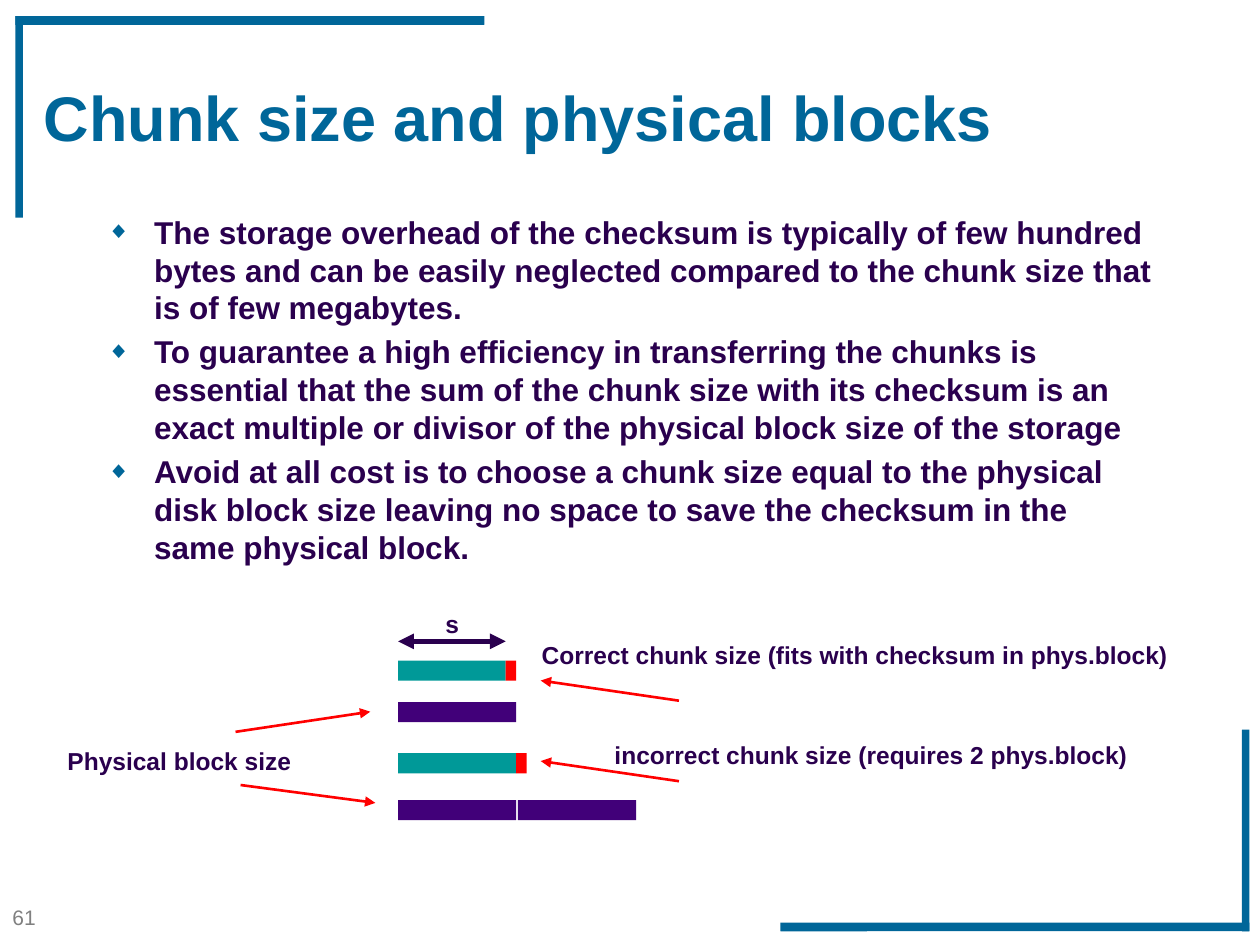
import pptx
import pptx.util
import pptx.dml.color
import pptx.enum.shapes
import pptx.enum.text
import pptx.oxml
import pptx.oxml.ns

Pt = pptx.util.Pt
SHAPE = pptx.enum.shapes.MSO_SHAPE
ALIGN = pptx.enum.text.PP_ALIGN
ANCHOR = pptx.enum.text.MSO_ANCHOR
BLUE, INK, TEAL, RED, PURPLE = "006699", "2A004E", "009998", "FF0000", "410079"
POINTS = [
    "The storage overhead of the checksum is typically of few hundred bytes and can be "
    "easily neglected compared to the chunk size that is of few megabytes.",
    "To guarantee a high efficiency in transferring the chunks is essential that the sum of "
    "the chunk size with its checksum is an exact multiple or divisor of the physical block "
    "size of the storage",
    "Avoid at all cost is to choose a chunk size equal to the physical disk block size "
    "leaving no space to save the checksum in the same physical block.",
]


def rgb(code):
    """Return the colour for a hex string."""
    return pptx.dml.color.RGBColor.from_string(code)


def add_xml(parent, tag, **attrs):
    """Append an empty drawing element with attributes."""
    node = pptx.oxml.parse_xml(f'<a:{tag} {pptx.oxml.ns.nsdecls("a")}/>')
    for key, value in attrs.items():
        node.set(key, value)
    parent.append(node)
    return node


def add_bullet(para):
    """Give a paragraph a hanging diamond bullet."""
    props = para._p.get_or_add_pPr()
    props.set("marL", str(Pt(27)))
    props.set("indent", str(-Pt(27)))
    add_xml(add_xml(props, "buClr"), "srgbClr", val=BLUE)
    add_xml(props, "buSzPct", val="75000")
    add_xml(props, "buFont", typeface="Arial")
    add_xml(props, "buChar", char="◆")


def add_text(slide, box, text, size=14, color=INK, bold=True, align=ALIGN.LEFT,
             anchor=ANCHOR.TOP, wrap=False, bullet=False, gap=0):
    """Add a text box with one paragraph per line of text."""
    frame = slide.shapes.add_textbox(*map(Pt, box)).text_frame
    frame.word_wrap = wrap
    frame.vertical_anchor = anchor
    for i, line in enumerate(text.split("\n")):
        para = frame.add_paragraph() if i else frame.paragraphs[0]
        para.alignment = align
        if i and gap:
            para.space_before = Pt(gap)
        if bullet:
            add_bullet(para)
        run = para.add_run()
        run.text = line
        font = run.font
        font.name, font.size, font.bold = "Arial", Pt(size), bold
        font.color.rgb = rgb(color)


def add_bar(slide, box, color, kind=SHAPE.RECTANGLE):
    """Add a filled bar without outline."""
    bar = slide.shapes.add_shape(kind, *map(Pt, box))
    bar.shadow.inherit = False
    bar.fill.solid()
    bar.fill.fore_color.rgb = rgb(color)
    bar.line.fill.background()
    return bar


def add_arrow(slide, start, end, color=RED, width=1.5, double=False):
    """Add a straight arrow with one or two heads."""
    kind = pptx.enum.shapes.MSO_CONNECTOR.STRAIGHT
    arrow = slide.shapes.add_connector(kind, *map(Pt, (*start, *end)))
    arrow.line.color.rgb = rgb(color)
    arrow.line.width = Pt(width)
    line = arrow.line._get_or_add_ln()
    if double:
        add_xml(line, "headEnd", type="triangle")
    add_xml(line, "tailEnd", type="triangle")
    add_xml(arrow._element.spPr, "effectLst")


def add_corner(slide, box, last=False):
    """Draw two bars meeting at the first or last corner of the box."""
    left, top, width, height = box
    thick, thin = 5, 4.3
    side = left + width - thin if last else left
    edge = top + height - thick if last else top
    for part in ((side, top, thin, height), (left, edge, width, thick)):
        bar = add_bar(slide, part, BLUE, SHAPE.ROUNDED_RECTANGLE)
        bar.adjustments[0] = 0.03


def add_blocks(slide, left, top):
    """Draw the chunks, the physical blocks and their labels."""
    def at(x, y):
        return left + x, top + y

    start, block, check, high = 196.5, 67.5, 6, 11.5
    chunk = block - check
    bars = [
        (0, 33.3, chunk, TEAL), (chunk, 33.3, check, RED),
        (0, 57, block, PURPLE),
        (0, 86.2, block, TEAL), (block, 86.2, check, RED),
        (0, 113, block, PURPLE), (block + 1, 113, block, PURPLE),
    ]
    for x, y, wide, color in bars:
        add_bar(slide, (*at(start + x, y), wide, high), color)

    labels = [
        (216, 0, 22.3, "s"),
        (266.4, 18, 377.3, "Correct chunk size (fits with checksum in phys.block)"),
        (0, 78.5, 142.6, "Physical block size"),
        (311.7, 75, 308.9, "incorrect chunk size (requires 2 phys.block)"),
    ]
    for x, y, wide, text in labels:
        add_text(slide, (*at(x, y), wide, 24.5), text, align=ALIGN.RIGHT)

    add_arrow(slide, at(start, 22.3), at(start + chunk, 22.3), INK, 3, True)
    arrows = [
        (357, 56.2, -79, -11.5), (357, 102.2, -79, -11.5),
        (103.6, 74, 77, -11.5), (106.5, 104.4, 77, 10.2),
    ]
    for x, y, run, rise in arrows:
        add_arrow(slide, at(x, y), at(x + run, y + rise))


def main():
    """Build and save the slide."""
    deck = pptx.Presentation()
    deck.slide_width, deck.slide_height = Pt(720), Pt(540)
    slide = deck.slides.add_slide(deck.slide_layouts[6])
    add_text(slide, (0, 513.4, 29.5, 21.6), "61", size=12, color="808080", bold=False)
    add_corner(slide, (8.8, 9.2, 268, 115.2))
    add_corner(slide, (446, 417, 268, 115.2), last=True)
    add_text(slide, (18, 16, 702, 101), "Chunk size and physical blocks", size=36,
             color=BLUE, anchor=ANCHOR.MIDDLE, wrap=True)
    add_text(slide, (54, 118, 612, 350), "\n".join(POINTS), size=18, wrap=True,
             bullet=True, gap=3.6)
    add_blocks(slide, 31, 344.2)
    deck.save("out.pptx")


if __name__ == "__main__":
    main()
